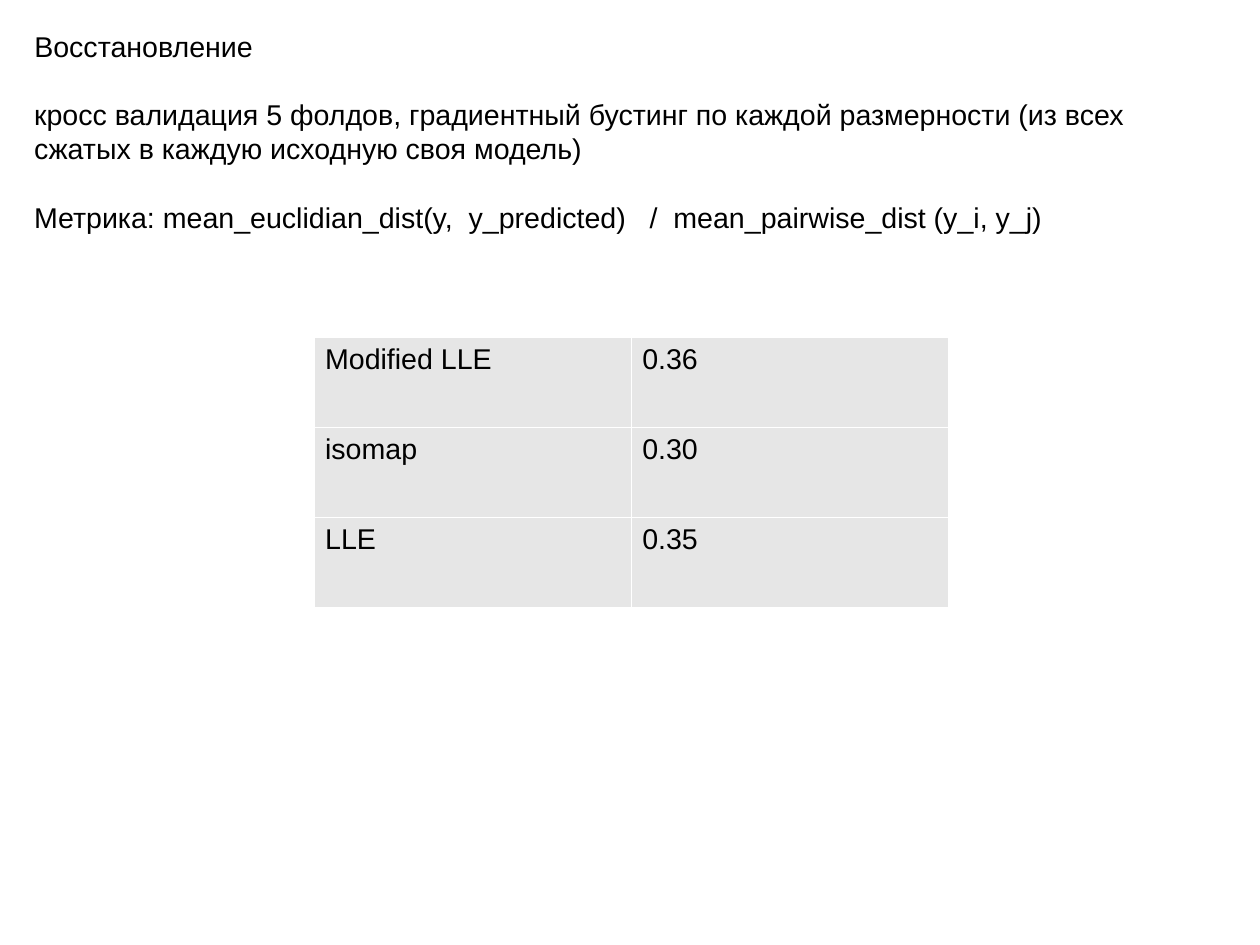
import pptx
import pptx.dml.color
import pptx.enum.text
import pptx.oxml
import pptx.oxml.ns
import pptx.util

Pt = pptx.util.Pt
LINE = 21.6
TEXT_FORMAT = {"name": "Arial", "size": Pt(18), "bold": False}
MARGINS = {"margin_left": Pt(7.2), "margin_right": Pt(7.2),
           "margin_top": Pt(3.6), "margin_bottom": Pt(3.6)}

HEADING = "Восстановление"
NOTES = [
    "кросс валидация 5 фолдов, градиентный бустинг по каждой размерности "
    "(из всех сжатых в каждую исходную своя модель)",
    "Метрика: mean_euclidian_dist(y,  y_predicted)   /  mean_pairwise_dist (y_i, y_j)",
]
SCORES = [("Modified LLE", "0.36"), ("isomap", "0.30"), ("LLE", "0.35")]


def color(value):
    return pptx.dml.color.RGBColor.from_string(value)


def apply(target, values):
    for name, value in values.items():
        setattr(target, name, value)


def format_para(para):
    para.alignment = pptx.enum.text.PP_ALIGN.LEFT
    for span in para.runs:
        apply(span.font, TEXT_FORMAT)
        span.font.color.rgb = color("000000")


def fill_box(box, left, top, width, height, texts):
    apply(box, {"left": Pt(left), "top": Pt(top),
                "width": Pt(width), "height": Pt(height)})
    frame = box.text_frame
    apply(frame, MARGINS)
    apply(frame, {"word_wrap": True,
                  "auto_size": pptx.enum.text.MSO_AUTO_SIZE.NONE,
                  "vertical_anchor": pptx.enum.text.MSO_ANCHOR.TOP})
    for index, text in enumerate(texts):
        para = frame.add_paragraph() if index else frame.paragraphs[0]
        para.text = text
        para.line_spacing = Pt(LINE)
        para.space_before = Pt(LINE if index else 0)
        format_para(para)


def border_cell(cell, value, width):
    properties = cell._tc.get_or_add_tcPr()
    for side in ("lnL", "lnR", "lnT", "lnB"):
        properties.append(pptx.oxml.parse_xml(
            f'<a:{side} {pptx.oxml.ns.nsdecls("a")} w="{Pt(width)}">'
            f'<a:solidFill><a:srgbClr val="{value}"/></a:solidFill></a:{side}>'))


def add_score_table(page, left, top, column_width, row_height, rows):
    columns = len(rows[0])
    table = page.shapes.add_table(
        len(rows), columns, Pt(left), Pt(top),
        Pt(column_width * columns), Pt(row_height * len(rows))).table
    apply(table, {"first_row": False, "horz_banding": False})
    for row, values in enumerate(rows):
        for column, value in enumerate(values):
            cell = table.cell(row, column)
            cell.text = value
            apply(cell, MARGINS)
            border_cell(cell, "FFFFFF", 0.06)
            cell.fill.solid()
            cell.fill.fore_color.rgb = color("E6E6E6")
            format_para(cell.text_frame.paragraphs[0])


def main():
    deck = pptx.Presentation()
    apply(deck, {"slide_width": Pt(793.7), "slide_height": Pt(595.3)})
    page = deck.slides.add_slide(deck.slide_layouts[5])

    # Heading and method description
    fill_box(page.shapes.title, 14.4, 14.4, 756, 2 * LINE, [HEADING])
    notes = page.shapes.add_textbox(0, 0, 0, 0)
    fill_box(notes, 14.4, 14.4 + 2 * LINE, 756, 4 * LINE + 7.2, NOTES)

    # Reconstruction scores
    add_score_table(page, 197.6, 212.6, 199.8, 56.7, SCORES)

    deck.save("out.pptx")


if __name__ == "__main__":
    main()
